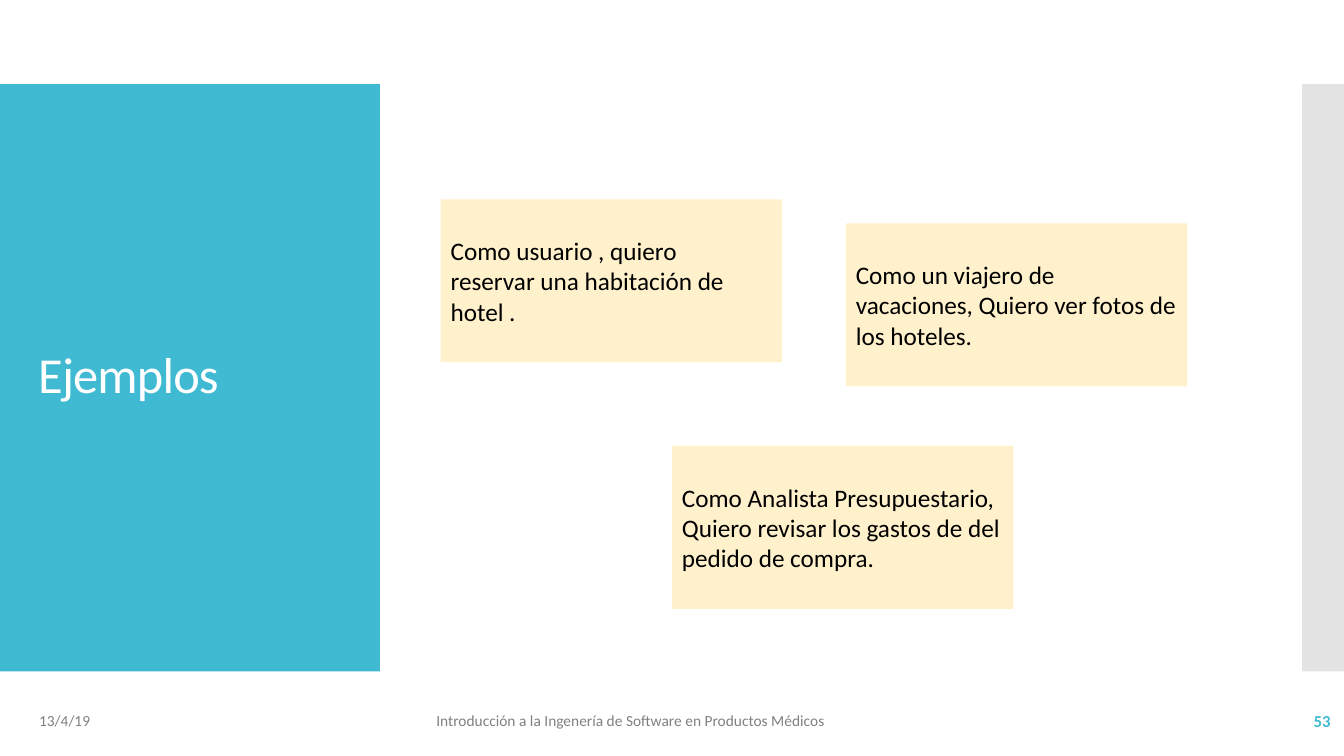
from lxml.etree import SubElement
from pptx import Presentation
from pptx.dml.color import RGBColor
from pptx.enum.shapes import MSO_SHAPE as Shape
from pptx.enum.text import MSO_ANCHOR as Anchor, PP_ALIGN as Align
from pptx.oxml.ns import qn
from pptx.util import Pt

COLORS = {
    "teal": "40BAD2",
    "gray": "C8C8C8",
    "cream": "FFF1CB",
    "footer": "808080",
    "white": "FFFFFF",
    "black": "000000",
}
FONT = "Calibri"
TITLE = "Ejemplos"
FOOTERS = [
    ("13/4/19", 20.9, 216, 11, "footer", False, Align.LEFT),
    ("Introducción a la Ingenería de Software en Productos Médicos",
     304.6, 465, 11, "footer", False, Align.LEFT),
    ("53", 837.4, 120.2, 12, "teal", True, Align.RIGHT),
]
STORIES = [
    (314.8, 142.4, ["Como usuario , quiero", "reservar una habitación de hotel ."]),
    (604.2, 159.5, ["Como un viajero de vacaciones, Quiero ver fotos de los hoteles."]),
    (480, 318.5, ["Como Analista Presupuestario, Quiero revisar los gastos de del pedido de compra."]),
]
SLIDE_WIDTH, SLIDE_HEIGHT = 960, 540
BAND_TOP, BAND_HEIGHT = 60, 419.5
TITLE_PANEL_WIDTH, SIDE_BAR_WIDTH = 271.3, 29.9
STORY_WIDTH, STORY_HEIGHT = 243.8, 116.4
FOOTER_TOP, FOOTER_HEIGHT = 500.4, 28.8


def add_rectangle(slide, left, top, width, height, color):
    shape = slide.shapes.add_shape(Shape.RECTANGLE, Pt(left), Pt(top), Pt(width), Pt(height))
    shape.shadow.inherit = False
    shape.fill.solid()
    shape.fill.fore_color.rgb = RGBColor.from_string(COLORS[color])
    shape.line.fill.background()
    return shape


def write_text(shape, lines, size, color, bold=False, align=Align.LEFT):
    frame = shape.text_frame
    frame.word_wrap = True
    frame.vertical_anchor = Anchor.MIDDLE
    for index, line in enumerate(lines):
        paragraph = frame.add_paragraph() if index else frame.paragraphs[0]
        paragraph.alignment = align
        run = paragraph.add_run()
        run.text = line
        run.font.name = FONT
        run.font.size = Pt(size)
        run.font.bold = bold
        run.font.color.rgb = RGBColor.from_string(COLORS[color])
    return frame.paragraphs[0]


def main():
    presentation = Presentation()
    presentation.slide_width = Pt(SLIDE_WIDTH)
    presentation.slide_height = Pt(SLIDE_HEIGHT)
    slide = presentation.slides.add_slide(presentation.slide_layouts[6])

    add_rectangle(slide, 0, BAND_TOP, TITLE_PANEL_WIDTH, BAND_HEIGHT, "teal")
    side_bar = add_rectangle(slide, SLIDE_WIDTH - SIDE_BAR_WIDTH, BAND_TOP,
                             SIDE_BAR_WIDTH, BAND_HEIGHT, "gray")
    side_color = side_bar.fill._xPr.find(qn("a:solidFill"))[0]
    SubElement(side_color, qn("a:alpha")).set("val", "50000")

    for text, left, width, size, color, bold, align in FOOTERS:
        footer = slide.shapes.add_textbox(Pt(left), Pt(FOOTER_TOP), Pt(width), Pt(FOOTER_HEIGHT))
        write_text(footer, [text], size, color, bold, align)

    title = slide.shapes.add_textbox(Pt(20.2), Pt(88.6), Pt(231.8), Pt(362.2))
    title_paragraph = write_text(title, [TITLE], 36, "white")
    title_paragraph.line_spacing = 0.9
    title_paragraph.runs[0].font._element.set("spc", "-60")

    for left, top, lines in STORIES:
        story = add_rectangle(slide, left, top, STORY_WIDTH, STORY_HEIGHT, "cream")
        write_text(story, lines, 18, "black")

    presentation.save("out.pptx")


if __name__ == "__main__":
    main()
